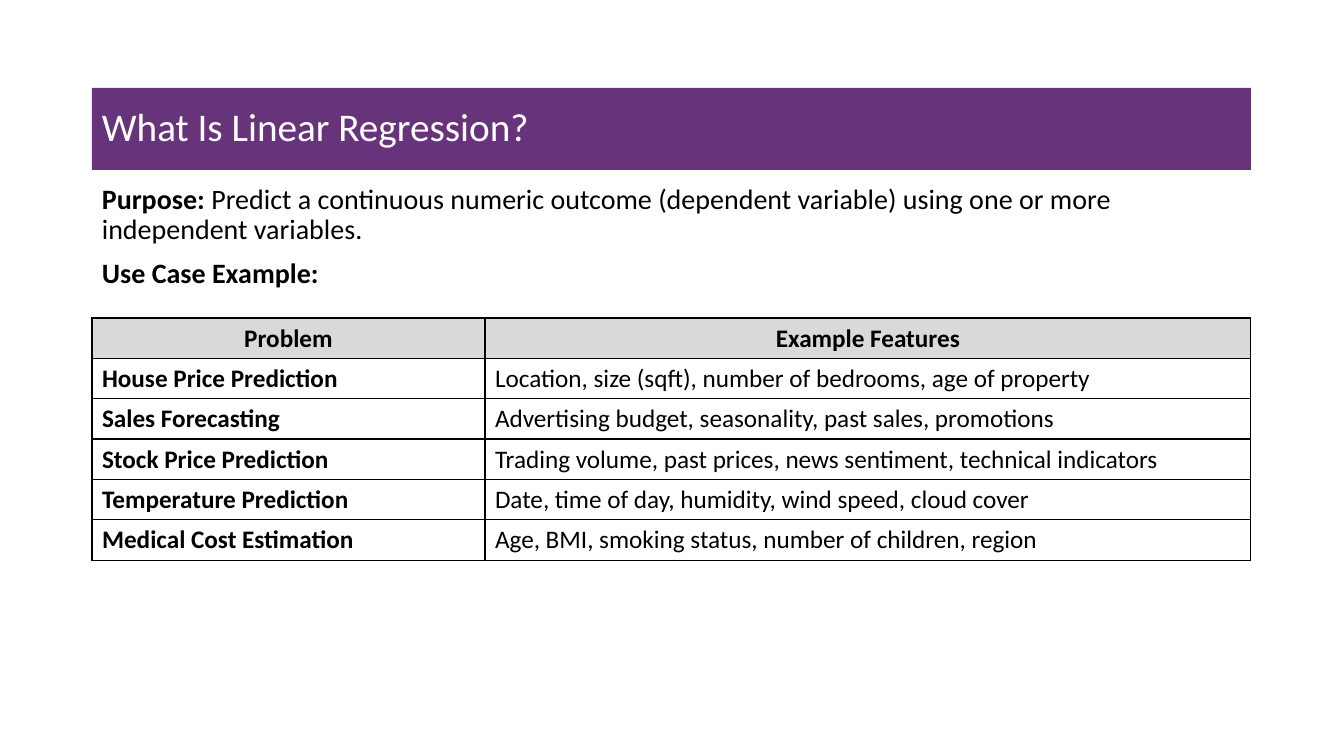
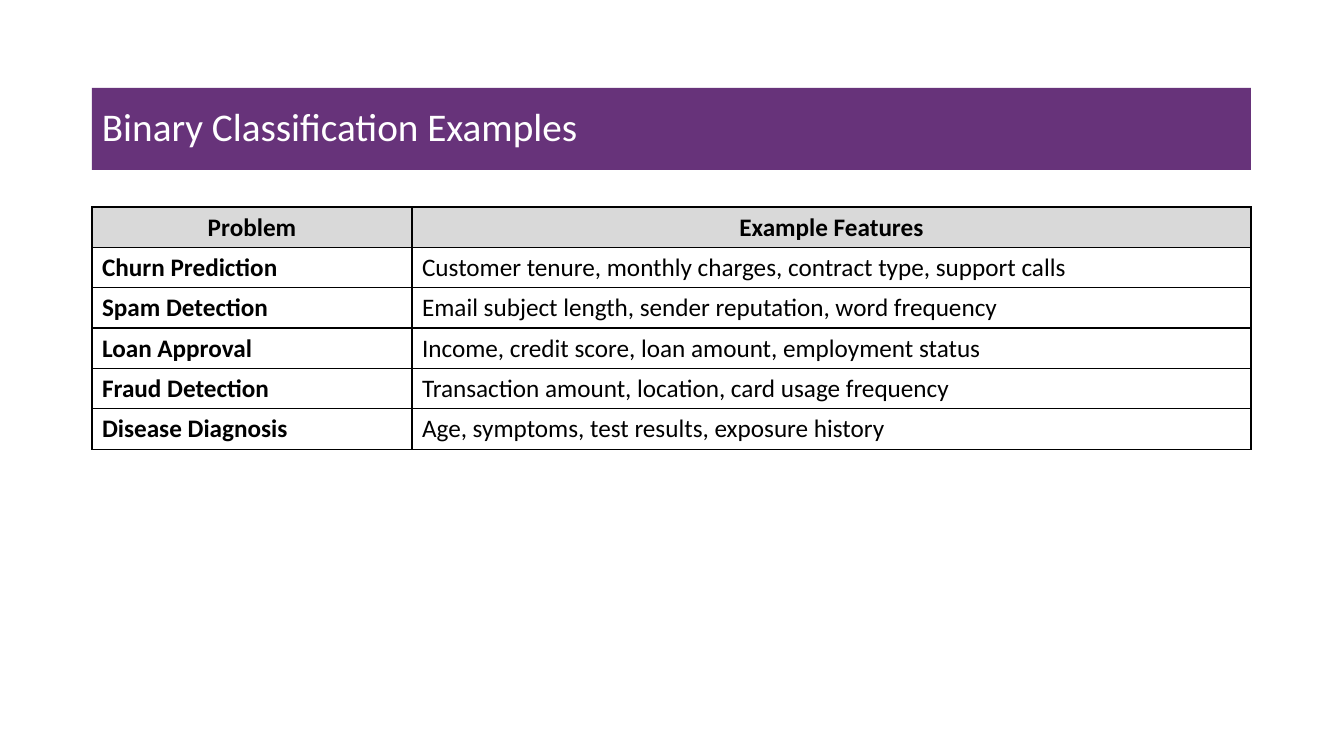
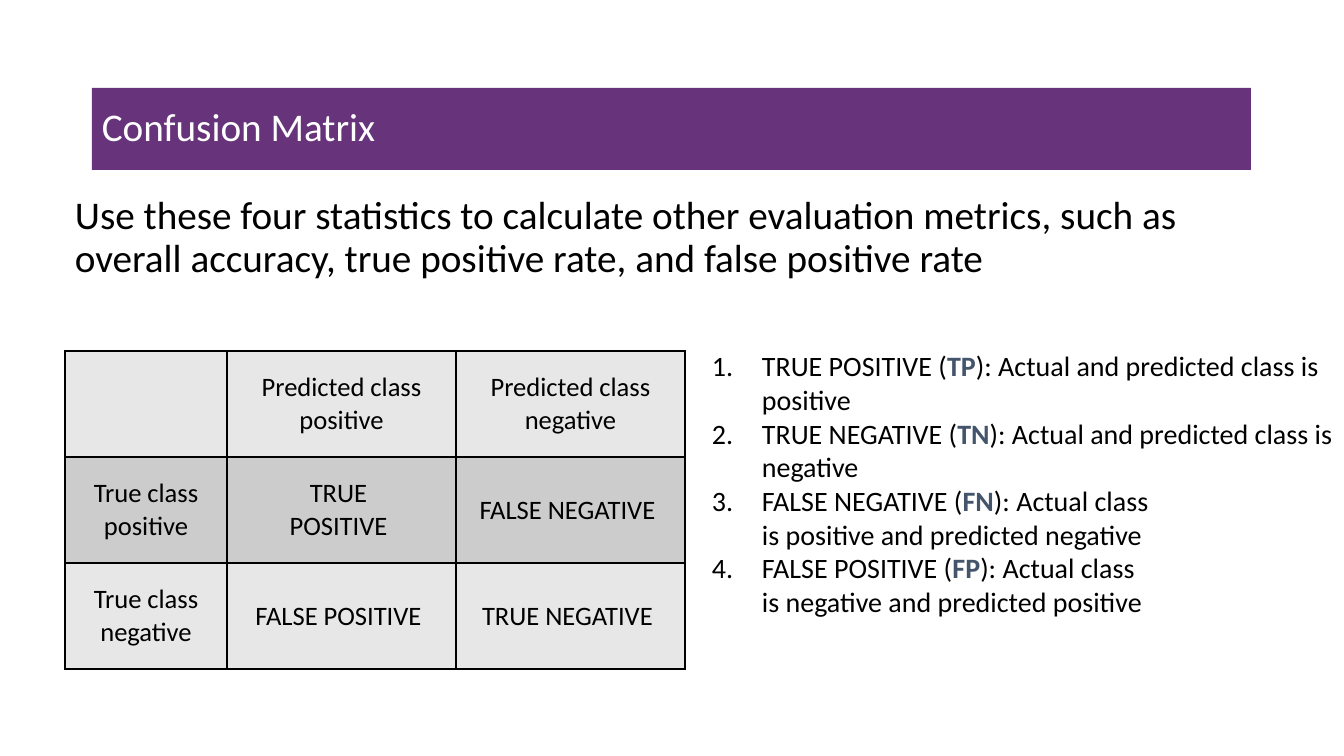
from lxml.etree import SubElement
from pptx import Presentation
from pptx.dml.color import RGBColor
from pptx.enum.shapes import MSO_SHAPE
from pptx.enum.text import MSO_ANCHOR, PP_ALIGN
from pptx.oxml.ns import qn
from pptx.util import Emu, Pt

# Shared look
PURPLE = RGBColor(0x67, 0x33, 0x7A)
SLATE = RGBColor(0x44, 0x54, 0x6A)
BLACK = RGBColor(0x00, 0x00, 0x00)
WHITE = RGBColor(0xFF, 0xFF, 0xFF)
HEADER_GRAY = RGBColor(0xD9, 0xD9, 0xD9)
LIGHT_GRAY = RGBColor(0xE7, 0xE7, 0xE7)
MID_GRAY = RGBColor(0xCC, 0xCC, 0xCC)
FONT = "Calibri"
SLIDE_SIZE = 1344, 756
BAND = 92, 88, 1159, 82
BODY_SPACING = {"line_spacing": 0.9, "space_before": Pt(10)}
HANGING = 50

# Content: a paragraph is a list of (text, font changes) runs
BOLD = {"bold": True}
ACRONYM = {"bold": True, "color": SLATE}

PURPOSE = [
    [("Purpose:", BOLD),
     (" Predict a continuous numeric outcome (dependent variable) using one "
      "or more independent variables.", {})],
    [("Use Case Example:", BOLD)],
]
FEATURE_HEADER = ("Problem", "Example Features")
REGRESSION_USES = [
    ("House Price Prediction", "Location, size (sqft), number of bedrooms, age of property"),
    ("Sales Forecasting", "Advertising budget, seasonality, past sales, promotions"),
    ("Stock Price Prediction", "Trading volume, past prices, news sentiment, technical indicators"),
    ("Temperature Prediction", "Date, time of day, humidity, wind speed, cloud cover"),
    ("Medical Cost Estimation", "Age, BMI, smoking status, number of children, region"),
]
CLASSIFICATION_USES = [
    ("Churn Prediction", "Customer tenure, monthly charges, contract type, support calls"),
    ("Spam Detection", "Email subject length, sender reputation, word frequency"),
    ("Loan Approval", "Income, credit score, loan amount, employment status"),
    ("Fraud Detection", "Transaction amount, location, card usage frequency"),
    ("Disease Diagnosis", "Age, symptoms, test results, exposure history"),
]
METRICS_INTRO = [[(
    "Use these four statistics to calculate other evaluation metrics, such as "
    "overall accuracy, true positive rate, and false positive rate", {})]]
CONFUSION_MATRIX = [
    ("", "Predicted class positive", "Predicted class negative"),
    ("True class\npositive", "TRUE \nPOSITIVE ", "FALSE NEGATIVE "),
    ("True class\nnegative", "FALSE POSITIVE ", "TRUE NEGATIVE "),
]
OUTCOMES = [
    ("TRUE POSITIVE", "TP", "Actual and predicted class is positive"),
    ("TRUE NEGATIVE", "TN", "Actual and predicted class is negative"),
    ("FALSE NEGATIVE", "FN", "Actual class \nis positive and predicted negative"),
    ("FALSE POSITIVE", "FP", "Actual class \nis negative and predicted positive"),
]


def px(length):
    return Emu(round(length * 914400 / 100.8))


def set_all(target, values):
    for name, value in values.items():
        setattr(target, name, value)


def write_runs(paragraph, runs, size, color=BLACK):
    for text, changes in runs:
        look = {"bold": False, "color": color, **changes}
        for i, line in enumerate(text.split("\n")):
            if i:
                paragraph.add_line_break()
            run = paragraph.add_run()
            run.text = line
            set_all(run.font, {"name": FONT, "size": Pt(size), "bold": look["bold"]})
            run.font.color.rgb = look["color"]


def add_text(slide, box, paragraphs, size, spacing, numbered=False):
    frame = slide.shapes.add_textbox(*map(px, box)).text_frame
    frame.word_wrap = True
    for i, runs in enumerate(paragraphs):
        paragraph = frame.add_paragraph() if i else frame.paragraphs[0]
        set_all(paragraph, spacing)
        write_runs(paragraph, runs, size)
        if numbered:
            props = paragraph._p.get_or_add_pPr()
            props.set("marL", str(px(HANGING)))
            props.set("indent", str(-px(HANGING)))
            SubElement(props, qn("a:buAutoNum"), type="arabicPeriod")


def add_titled_slide(deck, title):
    slide = deck.slides.add_slide(deck.slide_layouts[6])
    band = slide.shapes.add_shape(MSO_SHAPE.RECTANGLE, *map(px, BAND))
    band.shadow.inherit = False
    band.fill.solid()
    band.fill.fore_color.rgb = PURPLE
    band.line.fill.background()
    set_all(band.text_frame, {"word_wrap": True, "vertical_anchor": MSO_ANCHOR.MIDDLE})
    heading = band.text_frame.paragraphs[0]
    set_all(heading, {"alignment": PP_ALIGN.LEFT, "line_spacing": 0.9})
    write_runs(heading, [(title, {})], 28, WHITE)
    return slide


def add_borders(cell):
    props = cell._tc.get_or_add_tcPr()
    for i, side in enumerate(("lnL", "lnR", "lnT", "lnB")):
        line = SubElement(props, qn(f"a:{side}"), w=str(Pt(1)))
        fill = SubElement(line, qn("a:solidFill"))
        SubElement(fill, qn("a:srgbClr"), val=str(BLACK))
        props.insert(i, line)  # borders come before the fill


def add_grid(slide, left, top, widths, row_height, rows, size, style):
    """Draw a bordered table; style(row, column) gives fill, bold, centred."""
    table = slide.shapes.add_table(
        len(rows), len(widths), px(left), px(top),
        px(sum(widths)), px(row_height * len(rows))).table
    set_all(table, {"first_row": False, "horz_banding": False})
    for column, width in zip(table.columns, widths):
        column.width = px(width)
    for r, texts in enumerate(rows):
        table.rows[r].height = px(row_height)
        for c, text in enumerate(texts):
            cell = table.cell(r, c)
            fill, bold, centred = style(r, c)
            cell.fill.solid()
            cell.fill.fore_color.rgb = fill
            cell.vertical_anchor = MSO_ANCHOR.MIDDLE
            add_borders(cell)
            paragraph = cell.text_frame.paragraphs[0]
            paragraph.alignment = PP_ALIGN.CENTER if centred else PP_ALIGN.LEFT
            if text:
                write_runs(paragraph, [(text, {"bold": bold})], size)
    return table


def add_feature_table(slide, top, problem_width, uses):
    left, _, width, _ = BAND

    def style(row, column):
        header = row == 0
        return HEADER_GRAY if header else WHITE, header or column == 0, header

    add_grid(slide, left, top, (problem_width, width - problem_width), 40,
             [FEATURE_HEADER, *uses], 18, style)


def add_confusion_matrix(slide):
    table = add_grid(
        slide, 65, 351, (162, 229, 229), 106, CONFUSION_MATRIX, 19,
        lambda row, column: (MID_GRAY if row == 1 else LIGHT_GRAY, False, True))
    for cell in table.iter_cells():
        set_all(cell, {"margin_left": px(13), "margin_right": px(13),
                       "margin_top": px(7), "margin_bottom": px(7)})


def main():
    deck = Presentation()
    deck.slide_width, deck.slide_height = map(px, SLIDE_SIZE)

    # Linear regression
    slide = add_titled_slide(deck, "What Is Linear Regression?")
    add_text(slide, (92, 180, 1065, 128), PURPOSE, 20, BODY_SPACING)
    add_feature_table(slide, 318, 393, REGRESSION_USES)

    # Binary classification
    slide = add_titled_slide(deck, "Binary Classification Examples")
    add_feature_table(slide, 207, 320, CLASSIFICATION_USES)

    # Confusion matrix
    slide = add_titled_slide(deck, "Confusion Matrix")
    add_text(slide, (65, 191, 1159, 113), METRICS_INTRO, 28, BODY_SPACING)
    add_confusion_matrix(slide)
    definitions = [[(f"{name} (", {}), (short, ACRONYM), (f"): {meaning}", {})]
                   for name, short, meaning in OUTCOMES]
    add_text(slide, (702, 344, 642, 323), definitions, 20, {}, numbered=True)

    deck.save("out.pptx")


if __name__ == "__main__":
    main()
